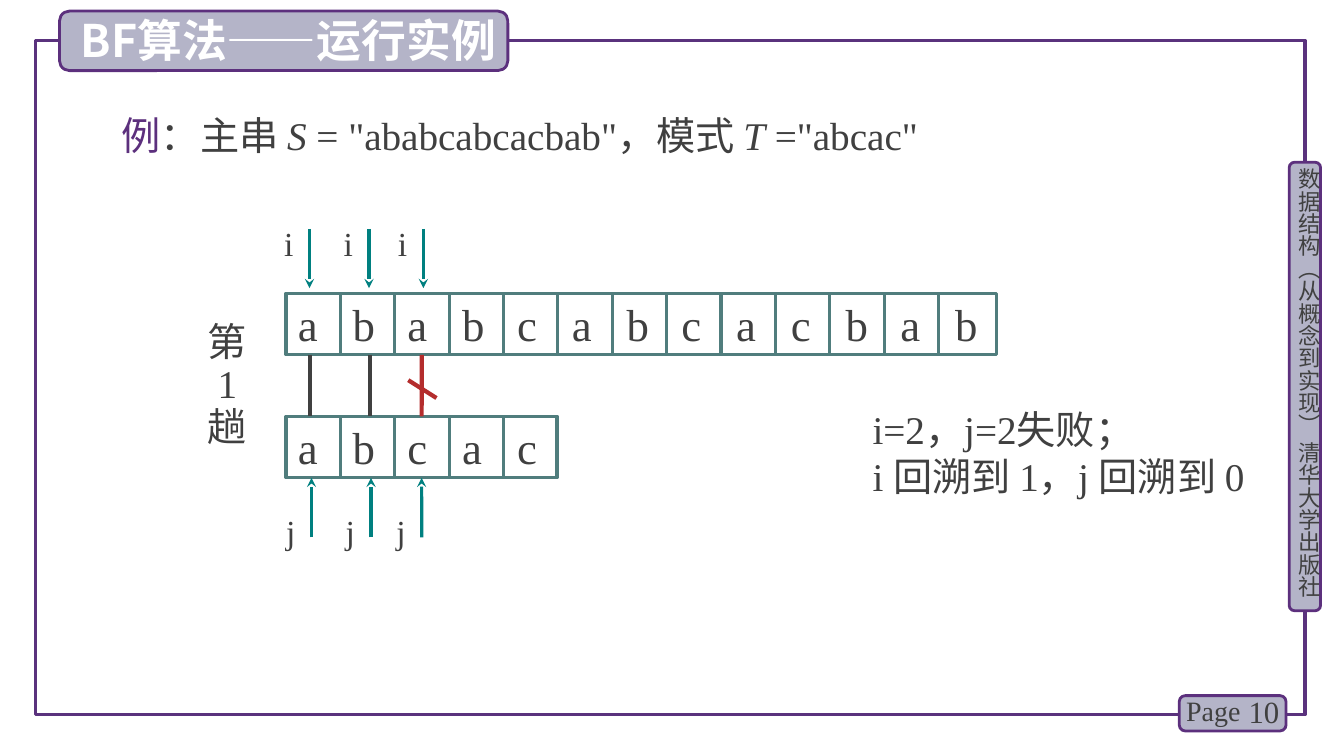
from dataclasses import dataclass
from typing import Any, Optional

from lxml import etree
from pptx import Presentation
from pptx import util as u
from pptx.dml.color import RGBColor
from pptx.enum import shapes, text
from pptx.oxml.ns import qn

COLORS = {
    "purple": "5C307D", "frame": "5A327D", "badge": "B4B4C8", "ink": "404040",
    "cell": "507D7D", "arrow": "008080", "mismatch": "B42D2D", "white": "FFFFFF",
}
LATIN, CJK = "Times New Roman", "Noto Sans CJK SC"
LEFT, RIGHT, CENTER, JUSTIFY = (text.PP_ALIGN.LEFT, text.PP_ALIGN.RIGHT,
                                text.PP_ALIGN.CENTER, text.PP_ALIGN.JUSTIFY)
TOP, MIDDLE = text.MSO_ANCHOR.TOP, text.MSO_ANCHOR.MIDDLE
RECT, ROUNDED = shapes.MSO_SHAPE.RECTANGLE, shapes.MSO_SHAPE.ROUNDED_RECTANGLE


@dataclass(frozen=True)
class Box:
    left: float
    top: float
    width: float
    height: float

    def emu(self) -> list[int]:
        return [u.Cm(v) for v in (self.left, self.top, self.width, self.height)]


@dataclass(frozen=True)
class Run:
    words: str
    size: float = 28
    color: str = "ink"
    font: str = LATIN
    bold: bool = False
    italic: bool = False


@dataclass(frozen=True)
class Comparison:
    match_x: float
    i_x: float
    j_x: float
    equal: bool


def rgb(name: str) -> RGBColor:
    return RGBColor.from_string(COLORS[name])


def write(frame: Any, paragraphs: list[list[Run]], align: Any = LEFT, anchor: Any = TOP,
          insets: tuple[float, ...] = (0.25, 0.13, 0.25, 0.13), spacing: Optional[float] = None,
          tab_pitch: float = 0) -> None:
    frame.word_wrap = True
    frame.auto_size = text.MSO_AUTO_SIZE.NONE
    frame.vertical_anchor = anchor
    (frame.margin_left, frame.margin_top,
     frame.margin_right, frame.margin_bottom) = [u.Cm(v) for v in insets]
    for index, runs in enumerate(paragraphs):
        paragraph = frame.add_paragraph() if index else frame.paragraphs[0]
        paragraph.alignment = align
        if spacing:
            paragraph.line_spacing = spacing
        if tab_pitch:
            stops = etree.SubElement(paragraph._p.get_or_add_pPr(), qn("a:tabLst"))
            for stop in range(1, runs[0].words.count("\t") + 1):
                etree.SubElement(stops, qn("a:tab"), pos=str(u.Cm(stop * tab_pitch)), algn="l")
        for item in runs:
            run = paragraph.add_run()
            run.text = item.words
            font = run.font
            font.name, font.size, font.bold, font.italic = (
                item.font, u.Pt(item.size), item.bold, item.italic)
            font.color.rgb = rgb(item.color)
            if item.font == CJK:
                etree.SubElement(run._r.get_or_add_rPr(), qn("a:ea"), typeface=CJK)


def add_text(slide: Any, box: Box, paragraphs: list[list[Run]], **layout: Any) -> Any:
    label = slide.shapes.add_textbox(*box.emu())
    write(label.text_frame, paragraphs, **layout)
    return label


def add_panel(slide: Any, kind: Any, box: Box, line: str, width: float,
              fill: Optional[str] = None) -> Any:
    panel = slide.shapes.add_shape(kind, *box.emu())
    panel.shadow.inherit = False
    if fill:
        panel.fill.solid()
        panel.fill.fore_color.rgb = rgb(fill)
    else:
        panel.fill.background()
    panel.line.color.rgb = rgb(line)
    panel.line.width = u.Pt(width)
    return panel


def add_line(slide: Any, x1: float, y1: float, x2: float, y2: float, color: str,
             width: float = 2.25, arrow: bool = False) -> Any:
    line = slide.shapes.add_connector(
        shapes.MSO_CONNECTOR.STRAIGHT, *[u.Cm(v) for v in (x1, y1, x2, y2)])
    line.line.color.rgb = rgb(color)
    line.line.width = u.Pt(width)
    if arrow:
        etree.SubElement(line.line._get_or_add_ln(), qn("a:tailEnd"), type="stealth")
    etree.SubElement(line.element.spPr, qn("a:effectLst"))
    return line


def add_character_row(slide: Any, box: Box, characters: str) -> Any:
    row = add_panel(slide, RECT, box, "cell", 2.25)
    write(row.text_frame, [[Run("\t".join(characters), 32)]], JUSTIFY, MIDDLE,
          (0.3, 0, 0.05, 0), tab_pitch=1.38)
    for index in range(len(characters) - 1):
        x = box.left + 1.37 * (index + 1)
        add_line(slide, x, box.top, x, box.top + box.height, "cell")
    return row


def add_pointer(slide: Any, letter: str, x: float, start: float, end: float,
                label_top: float) -> Any:
    add_text(slide, Box(x - 0.64, label_top, 0.64, 1.27), [[Run(letter, 24)]],
             insets=(0, 0.13, 0, 0.13))
    return add_line(slide, x, start, x, end, "arrow", arrow=True)


def add_page_furniture(slide: Any) -> None:
    add_panel(slide, RECT, Box(0.89, 1.02, 32, 16.99), "frame", 2.25)
    add_panel(slide, ROUNDED, Box(32.49, 4.09, 0.79, 11.3), "purple", 2, "badge")
    book = add_text(slide, Box(32.64, 4.24, 0.69, 11.4),
                    [[Run("数据结构（从概念到实现） 清华大学出版社", 16, font=CJK)]],
                    insets=(0, 0, 0, 0))
    book.text_frame._txBody.bodyPr.set("vert", "eaVert")
    add_panel(slide, ROUNDED, Box(29.72, 17.53, 2.69, 0.89), "purple", 2, "badge")
    add_text(slide, Box(30.99, 17.42, 1.5, 1.02), [[Run("10", 22)]], align=RIGHT, anchor=MIDDLE)
    add_text(slide, Box(29.64, 17.35, 1.98, 1.12), [[Run("Page", 20)]])


def add_heading(slide: Any) -> None:
    badge = add_panel(slide, ROUNDED, Box(1.5, 0.28, 11.3, 1.5), "purple", 2, "badge")
    heading = slide.shapes.title
    heading.left, heading.top, heading.width, heading.height = Box(1.78, 0.18, 11.68, 1.63).emu()
    write(heading.text_frame, [[Run("BF算法——运行实例", 32, "white", CJK, bold=True)]])
    badge.element.addnext(heading.element)


def main() -> None:
    deck = Presentation()
    deck.slide_width, deck.slide_height = u.Cm(33.87), u.Cm(19.05)
    slide = deck.slides.add_slide(deck.slide_layouts[5])
    add_page_furniture(slide)
    add_heading(slide)

    # Example statement
    add_text(slide, Box(2.82, 2.67, 22.66, 1.45), [[
        Run("例", color="purple"), Run("：主串 "), Run("S", italic=True),
        Run(' = "ababcabcacbab"，模式 '), Run("T", italic=True), Run(' ="abcac"')]],
        align=JUSTIFY)

    # Main string and pattern
    string_box, pattern_box = Box(7.21, 7.39, 17.91, 1.55), Box(7.21, 10.49, 6.83, 1.55)
    add_character_row(slide, string_box, "ababcabcacbab")
    pattern = add_character_row(slide, pattern_box, "abcac")
    string_bottom = string_box.top + string_box.height
    pattern_bottom = pattern_box.top + pattern_box.height

    # Character comparisons with their pointers
    for step in (Comparison(7.82, 7.8, 7.85, True), Comparison(9.32, 9.3, 9.35, True),
                 Comparison(10.63, 10.67, 10.63, False)):
        match = add_line(slide, step.match_x, string_bottom, step.match_x, pattern_box.top,
                         "ink" if step.equal else "mismatch", 3)
        add_pointer(slide, "i", step.i_x, 5.77, 7.26, 5.49)
        j_arrow = add_pointer(slide, "j", step.j_x, 13.54, pattern_bottom, 12.75)
        if not step.equal:
            match.end_connect(pattern, 0)
            j_arrow.end_connect(pattern, 2)
            add_line(slide, 10.29, 9.58, 11, 10.03, "mismatch", 3)

    # Pass number and outcome
    add_text(slide, Box(4.98, 8, 1.5, 3.45), [[Run(line)] for line in "第1趟"],
             align=CENTER, insets=(0, 0.13, 0, 0.13), spacing=0.9)
    add_text(slide, Box(21.74, 10.08, 10.16, 2.64),
             [[Run("i=2，j=2失败；")], [Run("i 回溯到 1，j 回溯到 0")]], align=JUSTIFY)

    deck.save("out.pptx")


if __name__ == "__main__":
    main()
